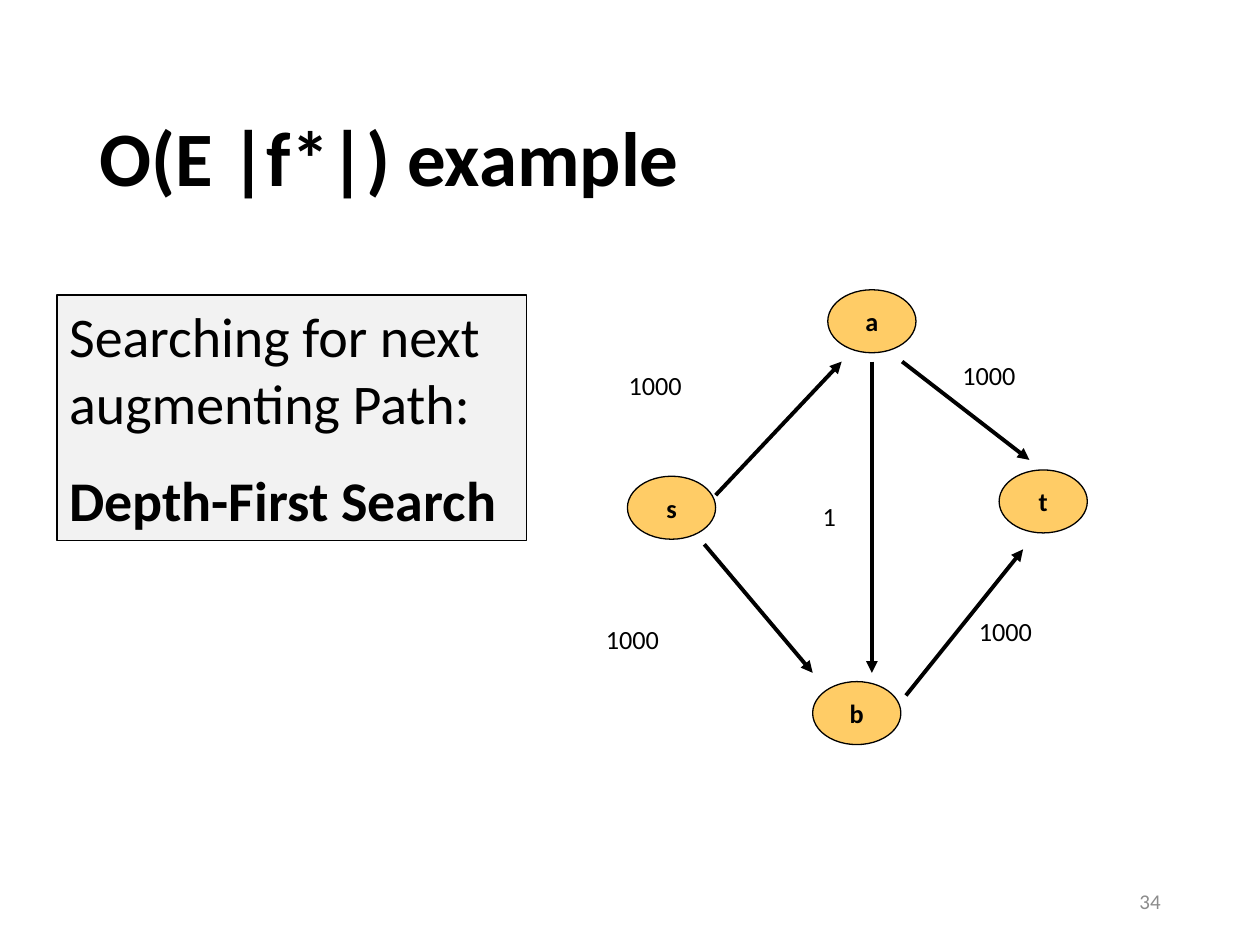
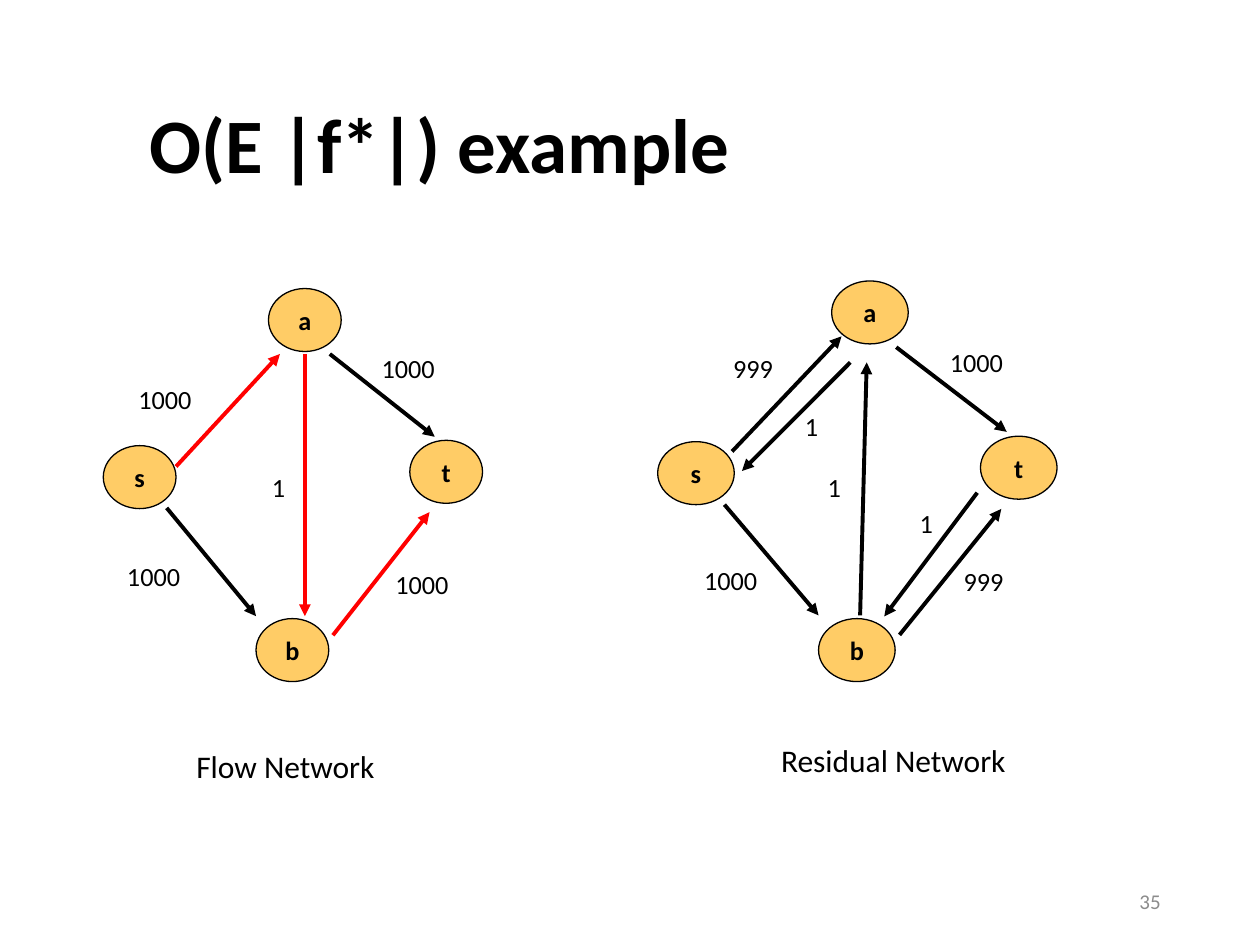
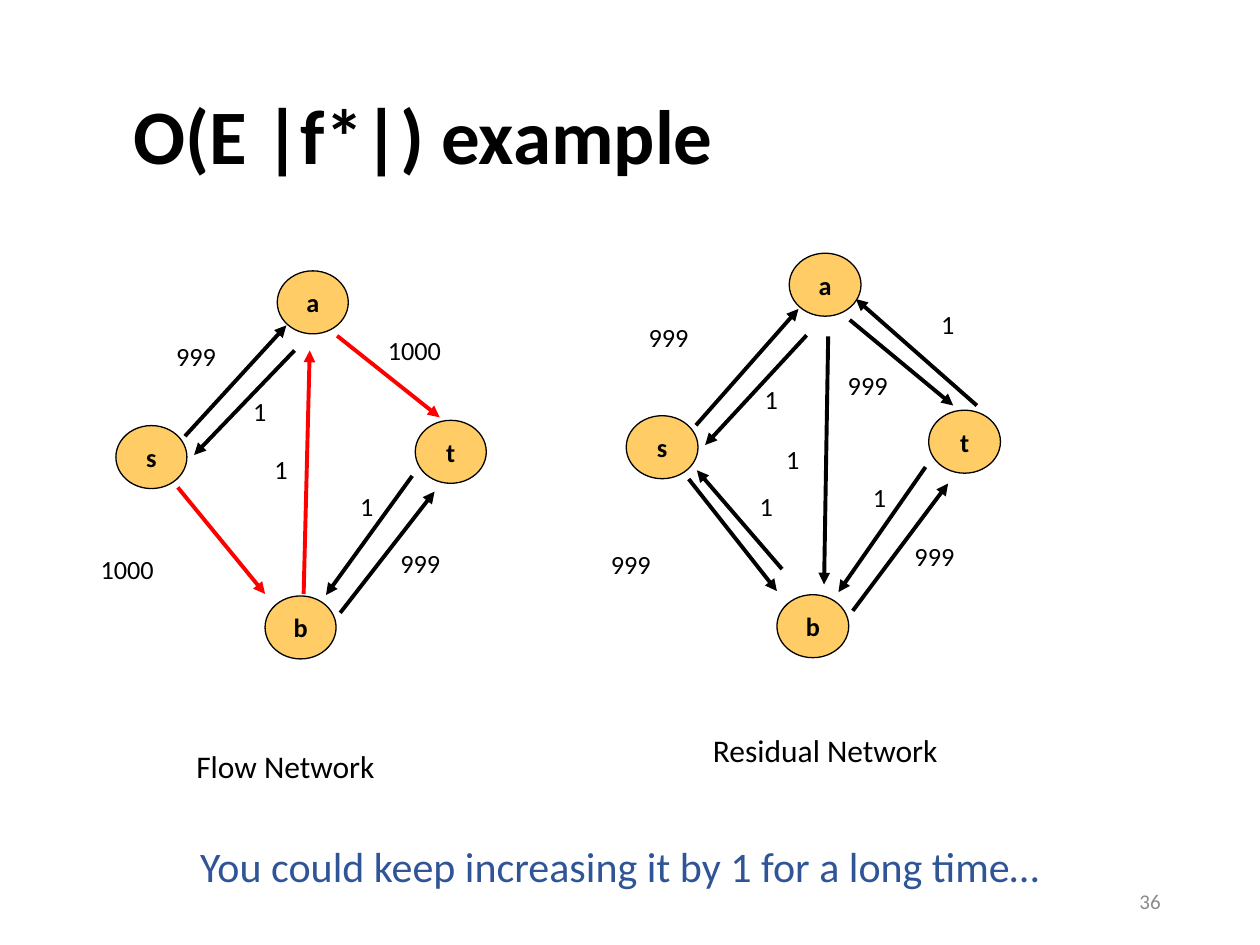
from dataclasses import dataclass
from typing import NamedTuple

from lxml import etree
from pptx import Presentation
from pptx.dml.color import RGBColor
from pptx.enum import shapes, text
from pptx.oxml.ns import qn
from pptx.util import Inches, Pt

FONT = "Calibri"
COLOURS = {
    "ink": "000000",
    "node": "FFCC66",
    "path": "FF0000",
    "panel": "F2F2F2",
    "remark": "2F5597",
    "page": "8C8C8C",
}

# Layout of every network: x from the left of s, y from the centre of a.
# Each network stretches this layout to its own size.
BASE_WIDTH, BASE_HEIGHT = 3.65, 3.11
NODE_WIDTH, NODE_HEIGHT = 0.7, 0.5
NODE_CENTRES = {"a": (1.94, 0), "b": (1.82, 3.11), "s": (0.35, 1.48), "t": (3.3, 1.43)}
ROUTES = {
    "s>a": ((0.7, 1.38), (1.7, 0.32)),
    "s>b": ((0.61, 1.77), (1.47, 2.79)),
    "a>b": ((1.94, 0.32), (1.94, 2.79)),
    "a>t": ((2.18, 0.32), (3.19, 1.1)),
    "b>t": ((2.21, 2.97), (3.14, 1.81)),
    "s>a paired": ((0.68, 1.28), (1.68, 0.22)),
    "a>s": ((1.76, 0.46), (0.77, 1.46)),
    "b>a": ((1.85, 2.79), (1.91, 0.46)),
    "a>b slanted": ((1.97, 0.47), (1.93, 2.73)),
    "t>b": ((2.92, 1.66), (2.07, 2.8)),
    "b>s": ((1.52, 2.59), (0.69, 1.69)),
    "t>a": ((3.42, 1.1), (2.24, 0.13)),
}


class Edge(NamedTuple):
    route: str
    capacity: str
    label_left: float
    label_top: float
    on_path: bool = False


class Caption(NamedTuple):
    words: str
    left: float
    top: float
    width: float
    size: int = 18
    colour: str = "ink"


@dataclass
class Network:
    left: float
    top: float
    width: float
    height: float
    edges: list[Edge]

    def place(self, x: float, y: float) -> tuple[float, float]:
        """Turn layout coordinates into inches on the slide."""
        return (self.left + x * self.width / BASE_WIDTH,
                self.top + y * self.height / BASE_HEIGHT)


@dataclass
class Page:
    number: int
    title_box: tuple[float, float, float]
    networks: list[Network]
    captions: list[Caption]


FLOW_CAPTION = Caption("Flow Network", 1.46, 5.88, 1.93)
PAGES = [
    Page(34, (0.69, 0.74, 8.62), [
        Network(4.98, 2.55, 3.65, 3.11, [
            Edge("s>a", "1000", 4.89, 2.88),
            Edge("a>b", "1", 6.43, 3.92),
            Edge("s>b", "1000", 4.71, 4.9),
            Edge("a>t", "1000", 7.54, 2.8),
            Edge("b>t", "1000", 7.67, 4.83),
        ]),
    ], []),
    Page(35, (1.09, 0.63, 8.62), [
        Network(0.82, 2.54, 3.01, 2.62, [
            Edge("s>a", "1000", 1, 2.99, True),
            Edge("a>b", "1", 2.06, 3.69, True),
            Edge("s>b", "1000", 0.91, 4.4),
            Edge("a>t", "1000", 2.93, 2.75),
            Edge("b>t", "1000", 3.04, 4.46, True),
        ]),
        Network(5.22, 2.48, 3.17, 2.68, [
            Edge("s>a paired", "999", 5.72, 2.75),
            Edge("a>s", "1", 6.29, 3.21),
            Edge("b>a", "1", 6.47, 3.69),
            Edge("s>b", "1000", 5.49, 4.43),
            Edge("a>t", "1000", 7.44, 2.7),
            Edge("b>t", "999", 7.55, 4.44),
            Edge("t>b", "1", 7.2, 3.98),
        ]),
    ], [FLOW_CAPTION, Caption("Residual Network", 6.1, 5.83, 2.45)]),
    Page(36, (0.96, 0.56, 6.35), [
        Network(0.92, 2.4, 2.94, 2.58, [
            Edge("s>a paired", "999", 1.3, 2.65),
            Edge("a>s", "1", 1.91, 3.09),
            Edge("b>a", "1", 2.08, 3.55, True),
            Edge("s>b", "1000", 0.7, 4.34, True),
            Edge("a>t", "1000", 2.98, 2.6, True),
            Edge("b>t", "999", 3.08, 4.29),
            Edge("t>b", "1", 2.76, 3.84),
        ]),
        Network(4.97, 2.26, 2.97, 2.71, [
            Edge("s>a paired", "999", 5.05, 2.5),
            Edge("a>s", "1", 5.97, 2.99),
            Edge("a>b slanted", "1", 6.14, 3.47),
            Edge("s>b", "999", 4.75, 4.3),
            Edge("b>s", "1", 5.93, 3.84),
            Edge("a>t", "999", 6.63, 2.88),
            Edge("t>a", "1", 7.37, 2.4),
            Edge("b>t", "999", 7.16, 4.24),
            Edge("t>b", "1", 6.83, 3.77),
        ]),
    ], [
        FLOW_CAPTION,
        Caption("Residual Network", 5.56, 5.75, 2.45),
        Caption("You could keep increasing it by 1 for a long time…", 1.49, 6.62, 7.5, 24, "remark"),
    ]),
]


def rgb(name: str) -> RGBColor:
    return RGBColor.from_string(COLOURS[name])


def write(paragraph, words: str, *, size: float, colour: str = "ink", bold: bool = False,
          align=text.PP_ALIGN.LEFT, spacing: float = 1, before: float = 0) -> None:
    run = paragraph.add_run()
    run.text = words
    run.font.name, run.font.size, run.font.bold = FONT, Pt(size), bold
    run.font.color.rgb = rgb(colour)
    paragraph.alignment = align
    paragraph.line_spacing = spacing
    paragraph.space_before = Pt(before)


def add_text(slide, words: str, left: float, top: float, width: float, height: float, *,
             anchor=text.MSO_ANCHOR.TOP, wrap: bool = True, **style) -> None:
    box = slide.shapes.add_textbox(Inches(left), Inches(top), Inches(width), Inches(height))
    box.text_frame.word_wrap = wrap
    box.text_frame.vertical_anchor = anchor
    write(box.text_frame.paragraphs[0], words, **style)


def add_filled(slide, kind, left: float, top: float, width: float, height: float, *,
               fill: str, line_width: float):
    """Add an outlined shape and return its text frame."""
    shape = slide.shapes.add_shape(kind, Inches(left), Inches(top), Inches(width), Inches(height))
    shape.shadow.inherit = False
    shape.fill.solid()
    shape.fill.fore_color.rgb = rgb(fill)
    shape.line.color.rgb = rgb("ink")
    shape.line.width = Pt(line_width)
    return shape.text_frame


def add_arrow(slide, tail: tuple[float, float], tip: tuple[float, float], colour: str) -> None:
    arrow = slide.shapes.add_connector(
        shapes.MSO_CONNECTOR.STRAIGHT, *(Inches(value) for value in (*tail, *tip)))
    arrow.line.color.rgb = rgb(colour)
    arrow.line.width = Pt(2.25)
    etree.SubElement(arrow.line._get_or_add_ln(), qn("a:tailEnd"), type="triangle")
    etree.SubElement(arrow._element.spPr, qn("a:effectLst"))


def add_network(slide, network: Network) -> None:
    node_width = NODE_WIDTH * network.width / BASE_WIDTH
    for name, centre in NODE_CENTRES.items():
        x, y = network.place(*centre)
        frame = add_filled(slide, shapes.MSO_SHAPE.OVAL, x - node_width / 2, y - NODE_HEIGHT / 2,
                           node_width, NODE_HEIGHT, fill="node", line_width=0.75)
        frame.word_wrap = False
        frame.vertical_anchor = text.MSO_ANCHOR.MIDDLE
        write(frame.paragraphs[0], name, size=15, bold=True, align=text.PP_ALIGN.CENTER)
    for edge in network.edges:
        tail, tip = (network.place(*point) for point in ROUTES[edge.route])
        add_arrow(slide, tail, tip, "path" if edge.on_path else "ink")
        add_text(slide, edge.capacity, edge.label_left, edge.label_top,
                 0.2 + 0.11 * len(edge.capacity), 0.35, wrap=False, size=15)


def add_search_panel(slide) -> None:
    frame = add_filled(slide, shapes.MSO_SHAPE.RECTANGLE, 0.45, 2.34, 3.73, 1.95,
                       fill="panel", line_width=1)
    frame.word_wrap = True
    frame.vertical_anchor = text.MSO_ANCHOR.TOP
    write(frame.paragraphs[0], "Searching for next augmenting Path:", size=32)
    write(frame.add_paragraph(), "Depth-First Search", size=32, bold=True, before=17)


def add_page(deck, page: Page):
    slide = deck.slides.add_slide(deck.slide_layouts[6])
    add_text(slide, "O(E |f*|) example", *page.title_box, 1.09,
             anchor=text.MSO_ANCHOR.MIDDLE, size=44, bold=True, spacing=0.9)
    add_text(slide, str(page.number), 7.06, 6.95, 2.25, 0.4, anchor=text.MSO_ANCHOR.MIDDLE,
             size=12, colour="page", align=text.PP_ALIGN.RIGHT)
    for network in page.networks:
        add_network(slide, network)
    for caption in page.captions:
        add_text(slide, caption.words, caption.left, caption.top, caption.width, 0.4,
                 size=caption.size, colour=caption.colour)
    return slide


def main() -> None:
    deck = Presentation()
    deck.slide_width, deck.slide_height = Inches(10), Inches(7.5)
    first, *_ = [add_page(deck, page) for page in PAGES]
    add_search_panel(first)
    deck.save("out.pptx")


if __name__ == "__main__":
    main()
